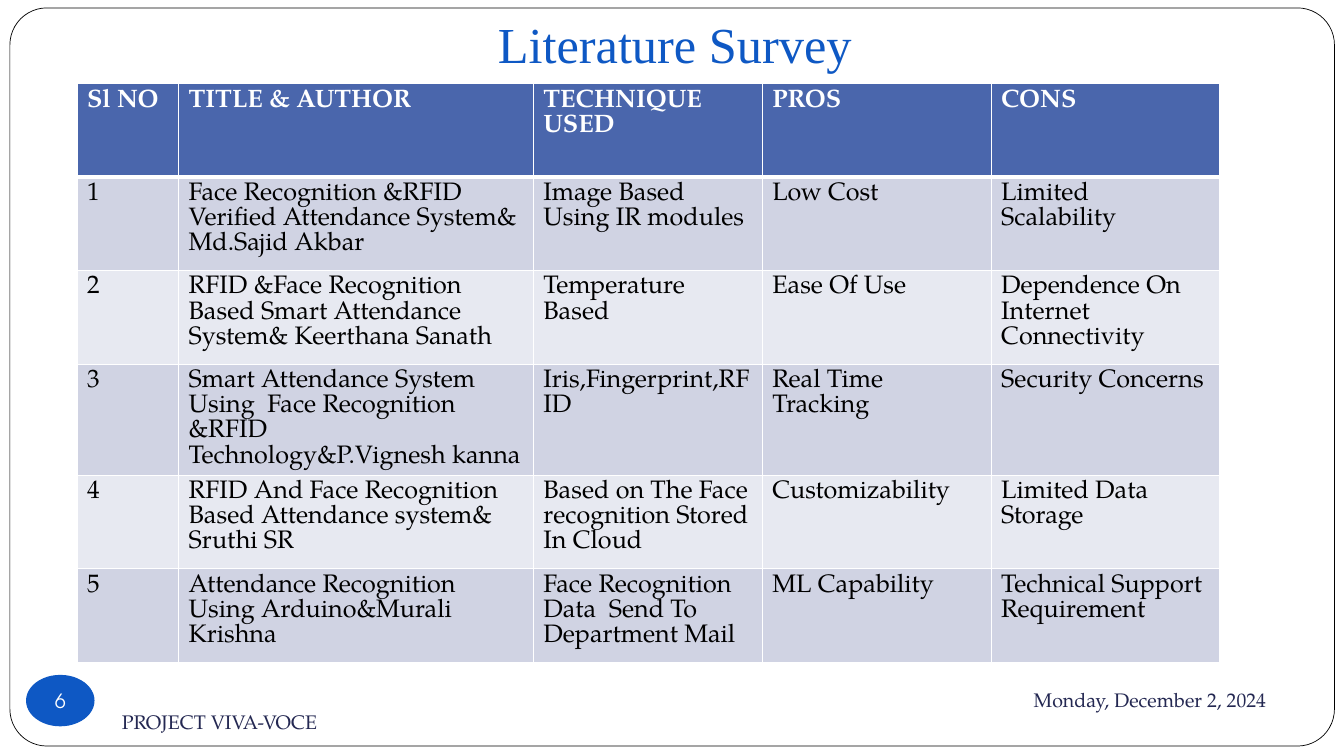
from lxml import etree
from pptx import Presentation
from pptx.dml.color import RGBColor
from pptx.enum.shapes import MSO_SHAPE
from pptx.enum.text import MSO_ANCHOR, PP_ALIGN
from pptx.oxml.ns import qn
from pptx.util import Cm, Pt

ROUNDED, OVAL = MSO_SHAPE.ROUNDED_RECTANGLE, MSO_SHAPE.OVAL
LEFT, CENTER, RIGHT = PP_ALIGN.LEFT, PP_ALIGN.CENTER, PP_ALIGN.RIGHT
MIDDLE, BOTTOM = MSO_ANCHOR.MIDDLE, MSO_ANCHOR.BOTTOM

SERIF, SANS, TITLE_FONT = "TeX Gyre Pagella", "TeX Gyre Adventor", "Times New Roman"
WHITE, BLACK, BLUE, NAVY = "FFFFFF", "000000", "0E58C4", "242852"
HEADER_FILL, BAND_FILLS = "4A66AC", ("E7E9F1", "D0D3E3")

COLUMN_WIDTHS = (2.56, 8.94, 5.77, 5.77, 5.77)
ROW_HEIGHT = 2.36
SURVEY = [
    ("Sl NO", "TITLE & AUTHOR", "TECHNIQUE USED", "PROS", "CONS"),
    ("1", "Face Recognition &RFID Verified Attendance System&\nMd.Sajid Akbar",
     "Image Based Using IR modules", "Low Cost", "Limited Scalability"),
    ("2", "RFID &Face Recognition  Based Smart Attendance System& Keerthana Sanath",
     "Temperature Based", "Ease Of Use", "Dependence On Internet Connectivity"),
    ("3", "Smart Attendance System Using  Face Recognition &RFID Technology&P.Vignesh kanna",
     "Iris,Fingerprint,RFID", "Real Time Tracking", "Security Concerns"),
    ("4", "RFID And Face Recognition Based Attendance system& Sruthi SR",
     "Based on The Face recognition Stored In Cloud", "Customizability", "Limited Data Storage"),
    ("5", "Attendance Recognition Using Arduino&Murali Krishna",
     "Face Recognition Data  Send To Department Mail", "ML Capability",
     "Technical Support Requirement"),
]


def color(value):
    """Turn a hex string into a colour."""
    return RGBColor.from_string(value)


def write(frame, text, size=14, font=SERIF, ink=NAVY, bold=False, align=LEFT, spacing=None):
    """Put formatted text into a frame, one paragraph per line."""
    frame.text = text
    for para in frame.paragraphs:
        para.alignment = align
        para.line_spacing = spacing
        for span in para.runs:
            span.font.size, span.font.name, span.font.bold = Pt(size), font, bold
            span.font.color.rgb = color(ink)


def set_borders(cell, bottom):
    """Draw white cell borders with the given bottom width in points."""
    properties = cell._tc.get_or_add_tcPr()
    widths = {"a:lnL": 1, "a:lnR": 1, "a:lnT": 1, "a:lnB": bottom}
    for index, (side, width) in enumerate(widths.items()):
        line = etree.Element(qn(side), w=str(Pt(width)))
        fill = etree.SubElement(line, qn("a:solidFill"))
        etree.SubElement(fill, qn("a:srgbClr"), val=WHITE)
        properties.insert(index, line)


class SlideBuilder:
    """Add styled elements to one slide."""

    def __init__(self, page):
        """Keep the slide to draw on."""
        self.page = page

    def shape(self, kind, left, top, width, height, fill, line, weight):
        """Add a filled preset shape."""
        shape = self.page.shapes.add_shape(kind, Cm(left), Cm(top), Cm(width), Cm(height))
        shape.shadow.inherit = False
        shape.fill.solid()
        shape.fill.fore_color.rgb = color(fill)
        shape.line.color.rgb = color(line)
        shape.line.width = Pt(weight)
        return shape

    def text(self, text, left, top, width, height, anchor=MIDDLE, inset=0.13, **style):
        """Add a wrapping text box."""
        box = self.page.shapes.add_textbox(Cm(left), Cm(top), Cm(width), Cm(height))
        frame = box.text_frame
        frame.word_wrap = True
        frame.vertical_anchor = anchor
        frame.margin_bottom = Cm(inset)
        write(frame, text, **style)

    def badge(self, text, left, top, width, height):
        """Add the page number in an oval."""
        frame = self.shape(OVAL, left, top, width, height, BLUE, BLUE, 0.75).text_frame
        frame.margin_left = frame.margin_right = frame.margin_top = frame.margin_bottom = 0
        frame.word_wrap = False
        frame.vertical_anchor = MIDDLE
        write(frame, text, font=SANS, ink=WHITE, align=CENTER)

    def table(self, rows, left, top, widths, row_height):
        """Add a banded table with a header row."""
        table = self.page.shapes.add_table(
            len(rows), len(widths), Cm(left), Cm(top),
            Cm(sum(widths)), Cm(row_height * len(rows))).table
        for column, width in zip(table.columns, widths):
            column.width = Cm(width)
        for row_index, row in enumerate(rows):
            header = row_index == 0
            table.rows[row_index].height = Cm(row_height)
            for column_index, text in enumerate(row):
                cell = table.cell(row_index, column_index)
                cell.fill.solid()
                cell.fill.fore_color.rgb = color(HEADER_FILL if header else BAND_FILLS[row_index % 2])
                set_borders(cell, bottom=3 if header else 1)
                write(cell.text_frame, text, size=18, ink=WHITE if header else BLACK,
                      bold=header, spacing=Pt(18))


def main():
    """Build and save the literature survey slide."""
    deck = Presentation()
    deck.slide_width, deck.slide_height = Cm(33.87), Cm(19.05)
    builder = SlideBuilder(deck.slides.add_slide(deck.slide_layouts[6]))

    frame = builder.shape(ROUNDED, 0.25, 0.2, 33.38, 18.6, WHITE, BLACK, 0.5)
    frame.adjustments[0] = 0.05
    builder.text("Monday, December 2, 2024", 22.99, 16.97, 9.17, 1.32, align=RIGHT)
    builder.badge("6", 0.67, 17.02, 1.7, 1.27)
    builder.text("Literature Survey", 2.62, 0.51, 28.78, 1.6, anchor=BOTTOM, inset=0.25,
                 size=36, font=TITLE_FONT, ink=BLUE, align=CENTER)
    builder.text("PROJECT VIVA-VOCE", 2.82, 17.55, 14.68, 1.27)
    builder.table(SURVEY, 1.94, 2.1, COLUMN_WIDTHS, ROW_HEIGHT)
    deck.save("out.pptx")


if __name__ == "__main__":
    main()
